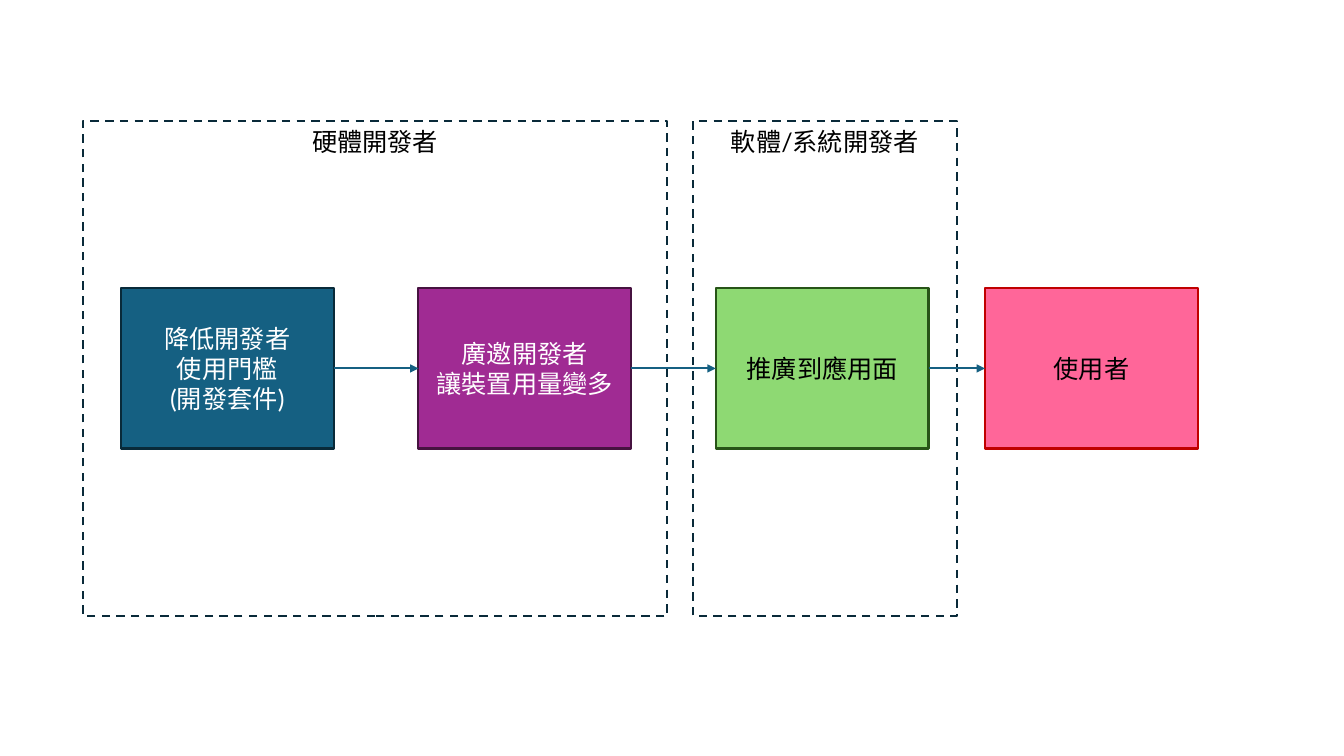
from pptx import Presentation
from pptx.dml.color import RGBColor
from pptx.enum.dml import MSO_LINE
from pptx.enum.shapes import MSO_CONNECTOR, MSO_SHAPE
from pptx.enum.text import MSO_ANCHOR, PP_ALIGN
from pptx.oxml.ns import qn
from pptx.util import Inches, Pt
from lxml.etree import SubElement

COLORS = {
    "white": "FFFFFF", "black": "000000", "navy": "092A39", "teal": "156082",
    "purple": "A02B93", "plum": "461340", "green": "8ED973", "forest": "275417",
    "pink": "FF6699", "red": "C00000",
}
GROUP_TOP, GROUP_H = 1.2, 4.91
STEP_W, STEP_H = 2.11, 1.59
STEP_TOP = GROUP_TOP + (GROUP_H - STEP_H) / 2

GROUPS = [
    (6.87, 2.62, "軟體/系統開發者"),
    (0.82, 5.8, "硬體開發者"),
]
STEPS = [
    (1.2, ["降低開發者", "使用門檻", "(開發套件)"], "teal", "navy", "white"),
    (4.15, ["廣邀開發者", "讓裝置用量變多"], "purple", "plum", "white"),
    (7.1, ["推廣到應用面"], "green", "forest", "black"),
    (9.77, ["使用者"], "pink", "red", "black"),
]


def rgb(name):
    return RGBColor.from_string(COLORS[name])


def add_box(s, box, lines, fill, line, color, anchor):
    sp = s.shapes.add_shape(MSO_SHAPE.RECTANGLE, *map(Inches, box))
    sp.shadow.inherit = False
    sp.fill.solid()
    sp.fill.fore_color.rgb = rgb(fill)
    sp.line.color.rgb = rgb(line)
    sp.line.width = Pt(1.5)
    tf = sp.text_frame
    tf.word_wrap = True
    tf.vertical_anchor = anchor
    for i, text in enumerate(lines):
        p = tf.add_paragraph() if i else tf.paragraphs[0]
        p.text = text
        p.alignment = PP_ALIGN.CENTER
        p.font.name = "Lato"
        p.font.size = Pt(18)
        p.font.color.rgb = rgb(color)
    return sp


def add_group(s, left, width, title):
    sp = add_box(s, (left, GROUP_TOP, width, GROUP_H), [title],
                 "white", "navy", "black", MSO_ANCHOR.TOP)
    sp.line.dash_style = MSO_LINE.DASH


def add_step(s, left, lines, fill, line, color):
    return add_box(s, (left, STEP_TOP, STEP_W, STEP_H), lines,
                   fill, line, color, MSO_ANCHOR.MIDDLE)


def add_arrow(s, start, end):
    cx = s.shapes.add_connector(MSO_CONNECTOR.ELBOW, 0, 0, 0, 0)
    cx.begin_connect(start, 3)
    cx.end_connect(end, 1)
    cx.line.color.rgb = rgb("teal")
    cx.line.width = Pt(1.5)
    SubElement(cx.line._get_or_add_ln(), qn("a:tailEnd"), type="triangle")
    SubElement(cx._element.spPr, qn("a:effectLst"))


def add_flow(s):
    for group in GROUPS:
        add_group(s, *group)
    steps = [add_step(s, *step) for step in STEPS]
    for start, end in zip(steps, steps[1:]):
        add_arrow(s, start, end)


def main():
    prs = Presentation()
    prs.slide_width, prs.slide_height = Inches(13.33), Inches(7.5)
    s = prs.slides.add_slide(prs.slide_layouts[6])
    add_flow(s)
    prs.save("out.pptx")


if __name__ == "__main__":
    main()
